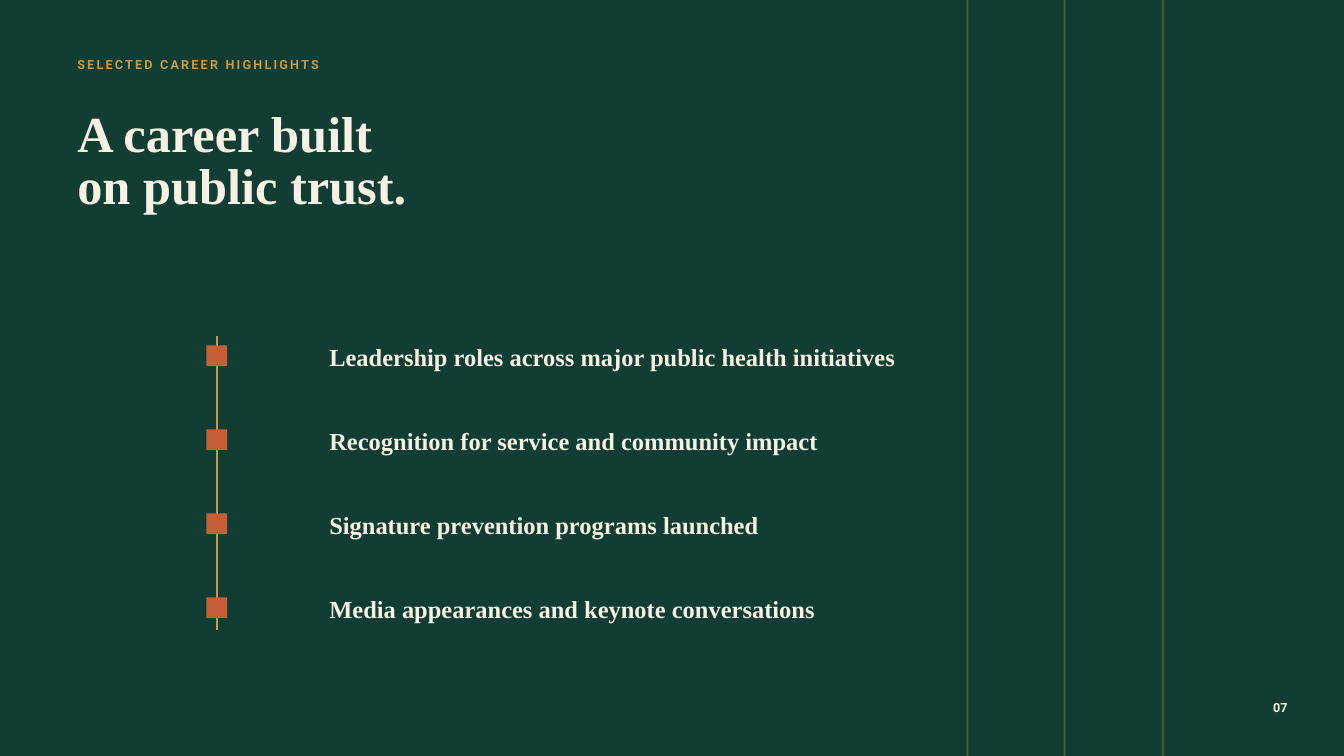
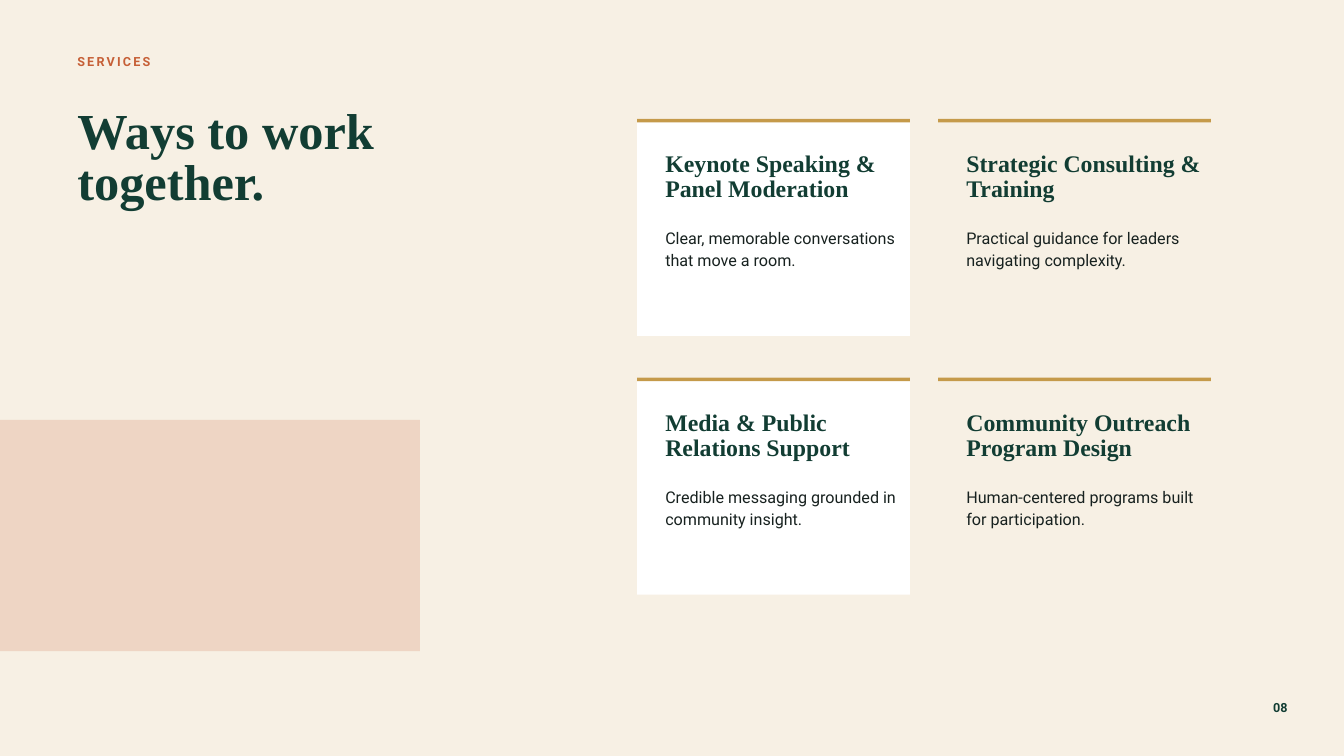
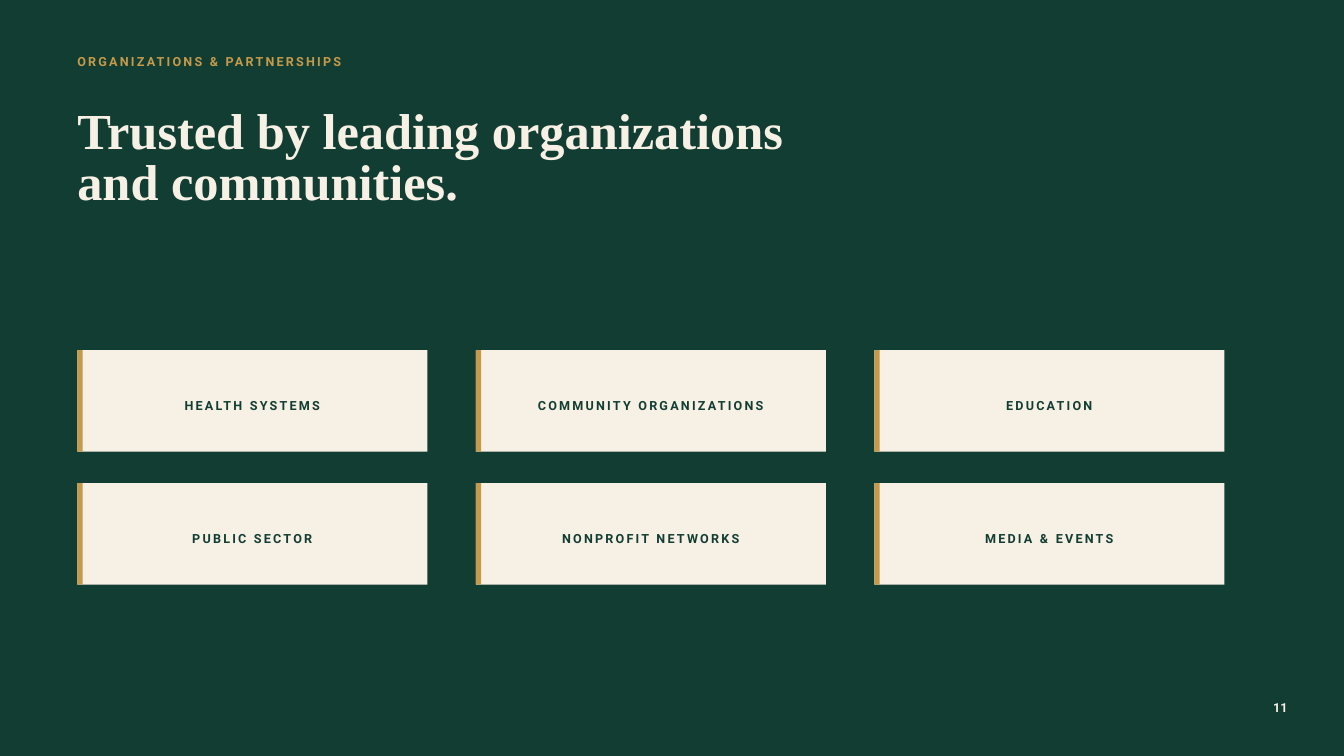
from dataclasses import dataclass, field

import pptx
import pptx.dml.color
import pptx.enum.shapes
import pptx.enum.text
import pptx.oxml
import pptx.oxml.ns
import pptx.util
from pptx.util import Inches

ALIGN = pptx.enum.text.PP_ALIGN


@dataclass(frozen=True)
class Style:
    face: str
    size: float
    lead: float
    bold: bool = True
    track: float = 0


@dataclass(frozen=True)
class Theme:
    green: str = "123D33"
    cream: str = "F7F0E4"
    gold: str = "C59A4A"
    rust: str = "C65F36"
    white: str = "FFFFFF"
    ink: str = "17211F"
    title: Style = field(default=Style("Times New Roman", 54, 55.1))
    point: Style = field(default=Style("Times New Roman", 26.25, 28.4))
    head: Style = field(default=Style("Times New Roman", 25.5, 26.8))
    body: Style = field(default=Style("Roboto", 17.25, 23.3, bold=False))
    label: Style = field(default=Style("Roboto", 13.5, 18.9, track=2.4))
    folio: Style = field(default=Style("Roboto", 13.5, 18.9))


THEME = Theme()


@dataclass(frozen=True)
class Box:
    left: float
    top: float
    width: float
    height: float

    def sides(self) -> tuple:
        return tuple(map(Inches, (self.left, self.top, self.width, self.height)))


@dataclass(frozen=True)
class Page:
    number: str
    label: str
    title: tuple
    back: str
    front: str
    accent: str
    top: float = 0.76


@dataclass(frozen=True)
class Service:
    name: str
    note: str


POINTS = (
    "Leadership roles across major public health initiatives",
    "Recognition for service and community impact",
    "Signature prevention programs launched",
    "Media appearances and keynote conversations",
)
SERVICES = (
    Service("Keynote Speaking & Panel Moderation",
            "Clear, memorable conversations that move a room."),
    Service("Strategic Consulting & Training",
            "Practical guidance for leaders navigating complexity."),
    Service("Media & Public Relations Support",
            "Credible messaging grounded in community insight."),
    Service("Community Outreach Program Design",
            "Human-centered programs built for participation."),
)
PARTNERS = (
    "HEALTH SYSTEMS", "COMMUNITY ORGANIZATIONS", "EDUCATION",
    "PUBLIC SECTOR", "NONPROFIT NETWORKS", "MEDIA & EVENTS",
)


def rgb(color: str) -> pptx.dml.color.RGBColor:
    return pptx.dml.color.RGBColor.from_string(color)


def add_rect(shapes, box: Box, color: str, alpha: int = 100) -> None:
    """Draw a plain rectangle; alpha is its opacity in percent."""
    rect = shapes.add_shape(pptx.enum.shapes.MSO_SHAPE.RECTANGLE, *box.sides())
    rect.shadow.inherit = False
    rect.line.fill.background()
    rect.fill.solid()
    rect.fill.fore_color.rgb = rgb(color)
    if alpha < 100:
        tint = rect.fill._xPr.find(".//" + pptx.oxml.ns.qn("a:srgbClr"))
        mark = pptx.oxml.parse_xml(
            f'<a:alpha {pptx.oxml.ns.nsdecls("a")} val="{alpha * 1000}"/>')
        tint.append(mark)


def add_line(shapes, x: float, top: float, end: float, color: str) -> None:
    """Draw a vertical line."""
    line = shapes.add_connector(
        pptx.enum.shapes.MSO_CONNECTOR.STRAIGHT,
        Inches(x), Inches(top), Inches(x), Inches(end))
    line.line.color.rgb = rgb(color)
    line.line.width = pptx.util.Pt(2.25)
    line._element.spPr.append(pptx.oxml.parse_xml(
        f'<a:effectLst {pptx.oxml.ns.nsdecls("a")}/>'))


def add_text(shapes, box: Box, lines: tuple, style: Style, color: str,
             align: ALIGN = ALIGN.LEFT) -> None:
    frame = shapes.add_textbox(*box.sides()).text_frame
    frame.word_wrap = True
    frame.auto_size = pptx.enum.text.MSO_AUTO_SIZE.SHAPE_TO_FIT_TEXT
    frame.margin_left = frame.margin_right = 0
    frame.margin_top = frame.margin_bottom = 0
    frame.text = "\n".join(lines)
    for para in frame.paragraphs:
        para.alignment = align
        para.line_spacing = pptx.util.Pt(style.lead)
        font = para.font
        font.name = style.face
        font.size = pptx.util.Pt(style.size)
        font.bold = style.bold
        font.color.rgb = rgb(color)
        if style.track:
            for run in para.runs:
                run._r.get_or_add_rPr().set("spc", str(round(style.track * 100)))


def add_page(deck, page: Page):
    """Add a slide with its ground, label, title and number; return its shapes."""
    slide = deck.slides.add_slide(deck.slide_layouts[6])
    slide.background.fill.solid()
    slide.background.fill.fore_color.rgb = rgb(page.back)
    shapes = slide.shapes
    add_text(shapes, Box(1.15, page.top, 8.85, 0.24), (page.label,),
             THEME.label, page.accent)
    add_text(shapes, Box(1.15, page.top + 0.85, 14.58, 1.56), page.title,
             THEME.title, page.front)
    add_text(shapes, Box(18.12, 10.38, 1.04, 0.24), (page.number,),
             THEME.folio, page.front, ALIGN.RIGHT)
    return shapes


def draw_career(deck) -> None:
    shapes = add_page(deck, Page(
        "07", "SELECTED CAREER HIGHLIGHTS", ("A career built", "on public trust."),
        THEME.green, THEME.cream, THEME.gold, top=0.81))
    for left in (14.38, 15.83, 17.29):
        add_rect(shapes, Box(left, 0, 0.03, 11.25), THEME.gold, alpha=30)
    add_line(shapes, 3.23, 5, 9.38, THEME.gold)
    for row, point in enumerate(POINTS):
        top = 5.14 + row * 1.25
        item = shapes.add_group_shape().shapes
        add_rect(item, Box(3.07, top, 0.31, 0.31), THEME.rust)
        add_text(item, Box(4.9, top - 0.01, 9.58, 0.41), (point,),
                 THEME.point, THEME.cream)


def draw_services(deck) -> None:
    shapes = add_page(deck, Page(
        "08", "SERVICES", ("Ways to work", "together."),
        THEME.cream, THEME.green, THEME.rust))
    add_rect(shapes, Box(-0.83, 6.25, 7.08, 3.44), THEME.rust, alpha=18)
    fills = (THEME.white, THEME.cream)
    for index, service in enumerate(SERVICES):
        row, col = divmod(index, 2)
        left, top = 9.48 + col * 4.48, 1.77 + row * 3.85
        card = shapes.add_group_shape().shapes
        add_rect(card, Box(left, top, 4.06, 3.23), fills[col])
        add_rect(card, Box(left, top, 4.06, 0.05), THEME.gold)
        add_text(card, Box(left + 0.42, top + 0.5, 3.65, 0.75), (service.name,),
                 THEME.head, THEME.green)
        add_text(card, Box(left + 0.42, top + 1.6, 3.54, 0.63), (service.note,),
                 THEME.body, THEME.ink)


def draw_partners(deck) -> None:
    shapes = add_page(deck, Page(
        "11", "ORGANIZATIONS & PARTNERSHIPS",
        ("Trusted by leading organizations", "and communities."),
        THEME.green, THEME.cream, THEME.gold))
    for index, partner in enumerate(PARTNERS):
        row, col = divmod(index, 3)
        left, top = 1.15 + col * 5.93, 5.21 + row * 1.98
        card = shapes.add_group_shape().shapes
        add_rect(card, Box(left, top, 5.21, 1.51), THEME.cream)
        add_rect(card, Box(left, top, 0.08, 1.51), THEME.gold)
        add_text(card, Box(left, top + 0.68, 5.21, 0.24), (partner,),
                 THEME.label, THEME.green, ALIGN.CENTER)


def main() -> None:
    deck = pptx.Presentation()
    deck.slide_width, deck.slide_height = Inches(20), Inches(11.25)
    for draw in (draw_career, draw_services, draw_partners):
        draw(deck)
    deck.save("out.pptx")


if __name__ == "__main__":
    main()
